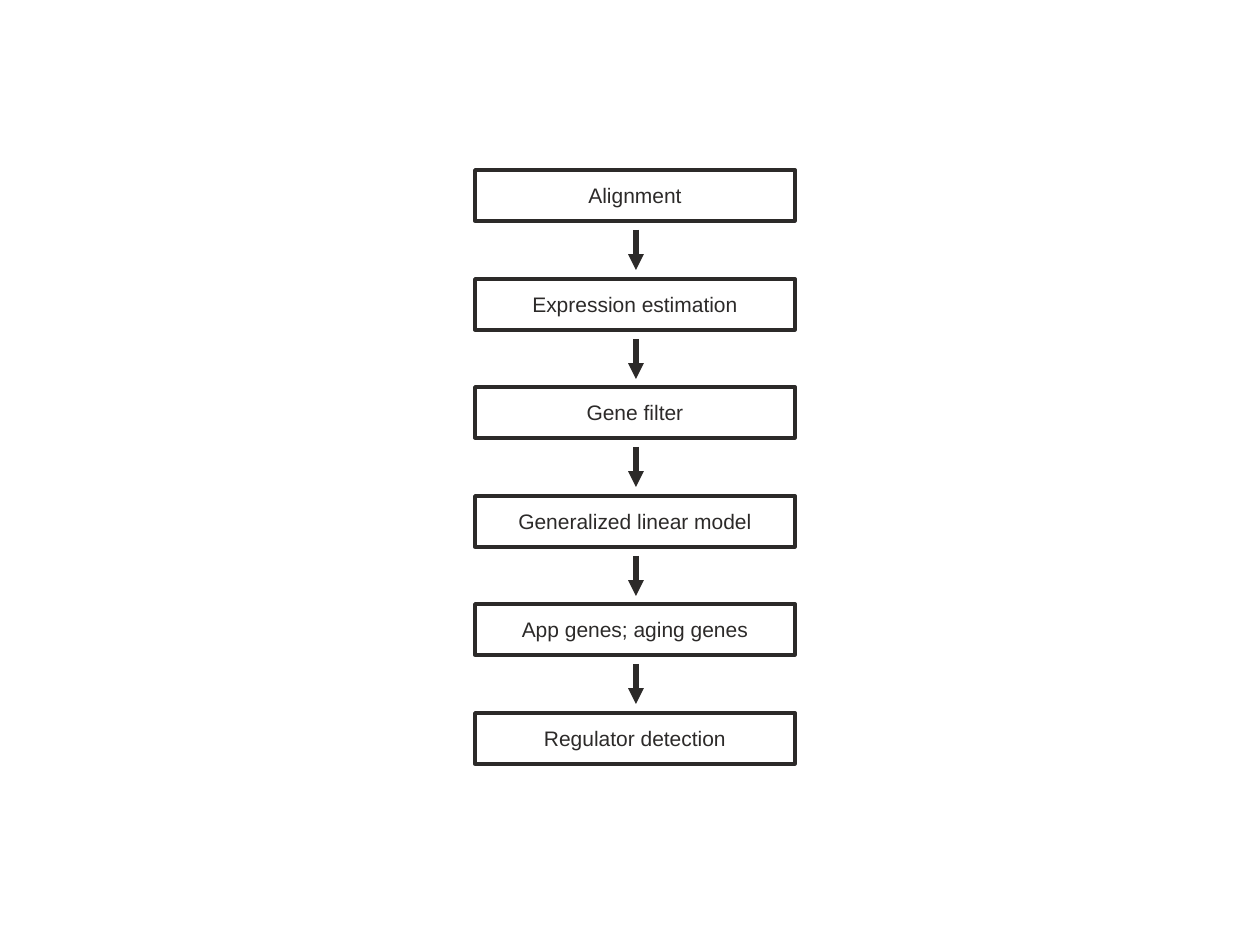
"""Build a slide with a vertical six-step gene analysis flowchart."""
import lxml.etree
import pptx
import pptx.dml.color
import pptx.enum.shapes
import pptx.enum.text
import pptx.oxml.ns
import pptx.util

PX = 914400 // 126
COLORS = {"ink": "2C2A29", "box": "FFFFFF"}
STEPS = [
    "Alignment",
    "Expression estimation",
    "Gene filter",
    "Generalized linear model",
    "App genes; aging genes",
    "Regulator detection",
]
LEFT, TOP, WIDTH, HEIGHT = 475, 170, 320, 51
PITCH = 108.6
ARROW_X, ARROW_TOP, ARROW_LENGTH = 636, 230, 40


def rgb(name):
    return pptx.dml.color.RGBColor.from_string(COLORS[name])


def write(tf, text, size=12, font="Arial", color="ink"):
    tf.word_wrap = True
    tf.vertical_anchor = pptx.enum.text.MSO_ANCHOR.MIDDLE
    p = tf.paragraphs[0]
    p.alignment = pptx.enum.text.PP_ALIGN.CENTER
    r = p.add_run()
    r.text = text
    r.font.size = pptx.util.Pt(size)
    r.font.name = font
    r.font.color.rgb = rgb(color)


prs = pptx.Presentation()
prs.slide_width = pptx.util.Inches(10)
prs.slide_height = pptx.util.Inches(7.5)
s = prs.slides.add_slide(prs.slide_layouts[6])

for i, step in enumerate(STEPS):
    offset = round(i * PITCH)
    sp = s.shapes.add_shape(
        pptx.enum.shapes.MSO_SHAPE.RECTANGLE,
        LEFT * PX, (TOP + offset) * PX, WIDTH * PX, HEIGHT * PX,
    )
    sp.shadow.inherit = False
    sp.fill.solid()
    sp.fill.fore_color.rgb = rgb("box")
    sp.line.color.rgb = rgb("ink")
    sp.line.width = pptx.util.Pt(2)
    write(sp.text_frame, step)

    if i < len(STEPS) - 1:
        y = ARROW_TOP + offset
        arrow = s.shapes.add_connector(
            pptx.enum.shapes.MSO_CONNECTOR.STRAIGHT,
            ARROW_X * PX, y * PX, ARROW_X * PX, (y + ARROW_LENGTH) * PX,
        )
        arrow.line.color.rgb = rgb("ink")
        arrow.line.width = pptx.util.Pt(3)
        ln = arrow.line._get_or_add_ln()
        lxml.etree.SubElement(ln, pptx.oxml.ns.qn("a:tailEnd"), type="triangle")
        lxml.etree.SubElement(arrow._element.spPr, pptx.oxml.ns.qn("a:effectLst"))

prs.save("out.pptx")
